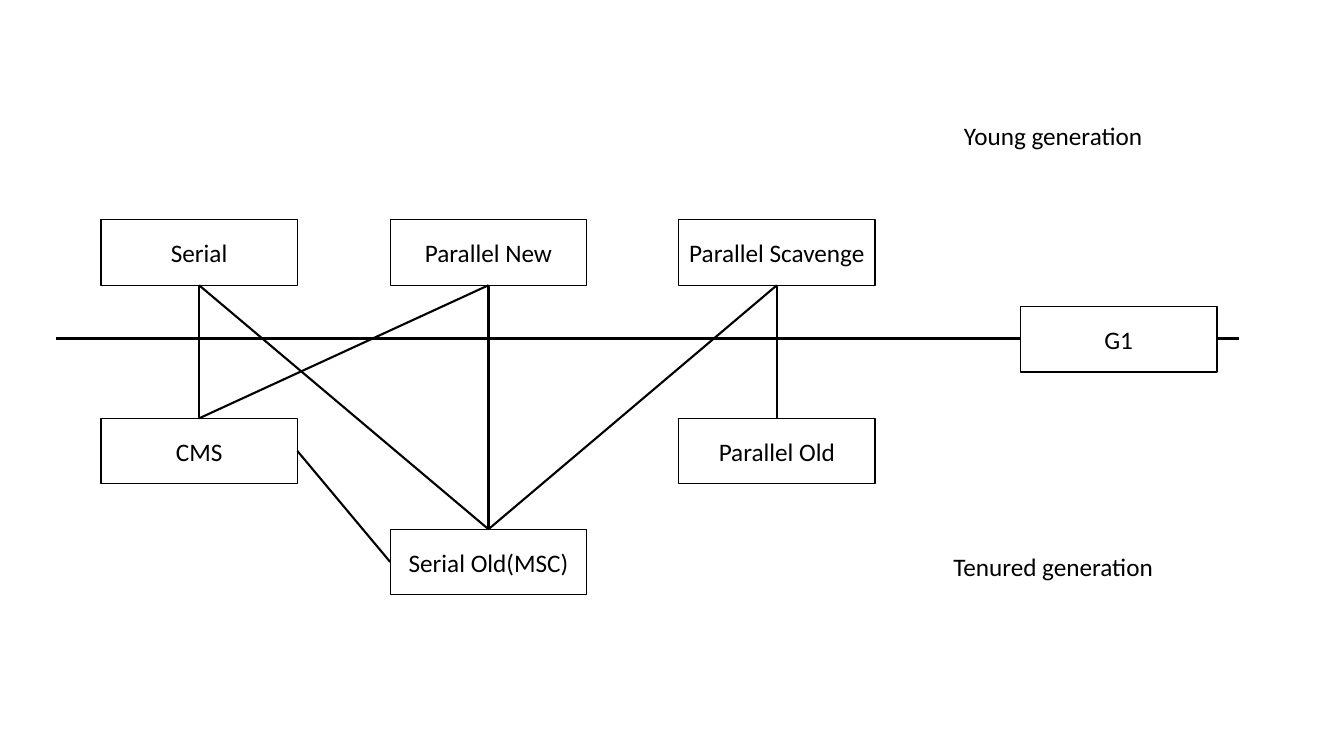
import pptx
import pptx.dml.color
import pptx.enum.shapes
import pptx.enum.text
import pptx.oxml.ns
import pptx.util
from lxml import etree
from pptx.util import Inches

BLACK, WHITE = "000000", "FFFFFF"
TOP, LEFT, BOTTOM, RIGHT = range(4)

# Collector boxes: name, left, top
COLUMNS = (1, 3.87, 6.73)
YOUNG_TOP, TENURED_TOP, FALLBACK_TOP = 2.18, 4.15, 5.25
COLLECTORS = [
    ("Parallel Scavenge", COLUMNS[2], YOUNG_TOP),
    ("Serial", COLUMNS[0], YOUNG_TOP),
    ("Parallel New", COLUMNS[1], YOUNG_TOP),
    ("CMS", COLUMNS[0], TENURED_TOP),
    ("Serial Old(MSC)", COLUMNS[1], FALLBACK_TOP),
    ("Parallel Old", COLUMNS[2], TENURED_TOP),
    ("G1", 10.12, 3.04),
]

# Young collectors and the tenured collectors they work with
PAIRS = [
    ("Serial", "CMS"),
    ("Parallel New", "Serial Old(MSC)"),
    ("Parallel New", "CMS"),
    ("Parallel Scavenge", "Serial Old(MSC)"),
    ("Parallel Scavenge", "Parallel Old"),
    ("Serial", "Serial Old(MSC)"),
]


def color(value):
    return pptx.dml.color.RGBColor.from_string(value)


def add_box(page, text, left, top, width, height, outlined=True):
    box = page.shapes.add_shape(
        pptx.enum.shapes.MSO_SHAPE.RECTANGLE,
        Inches(left), Inches(top), Inches(width), Inches(height))
    box.shadow.inherit = False
    box.fill.solid()
    box.fill.fore_color.rgb = color(WHITE)
    if outlined:
        box.line.color.rgb = color(BLACK)
        box.line.width = pptx.util.Pt(1)
    else:
        box.line.fill.background()
    frame = box.text_frame
    frame.word_wrap = True
    frame.margin_left = frame.margin_right = Inches(0.05)
    frame.vertical_anchor = pptx.enum.text.MSO_ANCHOR.MIDDLE
    para = frame.paragraphs[0]
    para.alignment = pptx.enum.text.PP_ALIGN.CENTER
    span = para.add_run()
    span.text = text
    span.font.name = "Calibri"
    span.font.size = pptx.util.Pt(18)
    span.font.color.rgb = color(BLACK)
    return box


def add_line(page, weight, start=(0, 0), end=(0, 0)):
    line = page.shapes.add_connector(
        pptx.enum.shapes.MSO_CONNECTOR.STRAIGHT,
        *(Inches(length) for length in (*start, *end)))
    line.line.color.rgb = color(BLACK)
    line.line.width = pptx.util.Pt(weight)
    etree.SubElement(line._element.spPr, pptx.oxml.ns.qn("a:effectLst"))
    return line


def join(page, upper, upper_side, lower, lower_side):
    line = add_line(page, 1.5)
    line.begin_connect(upper, upper_side)
    line.end_connect(lower, lower_side)


def main():
    deck = pptx.Presentation()
    deck.slide_width, deck.slide_height = Inches(13.33), Inches(7.5)
    page = deck.slides.add_slide(deck.slide_layouts[6])

    # Border between the generations
    add_line(page, 2.25, (0.56, 3.36), (12.29, 3.36))

    # Collectors
    boxes = {name: add_box(page, name, left, top, 1.95, 0.65)
             for name, left, top in COLLECTORS}

    # Combinations
    for young, tenured in PAIRS:
        join(page, boxes[young], BOTTOM, boxes[tenured], TOP)
    join(page, boxes["CMS"], RIGHT, boxes["Serial Old(MSC)"], LEFT)

    # Generation labels
    for text, top in (("Tenured generation", 5.24), ("Young generation", 0.97)):
        add_box(page, text, 8.82, top, 3.25, 0.75, outlined=False)

    deck.save("out.pptx")


if __name__ == "__main__":
    main()
